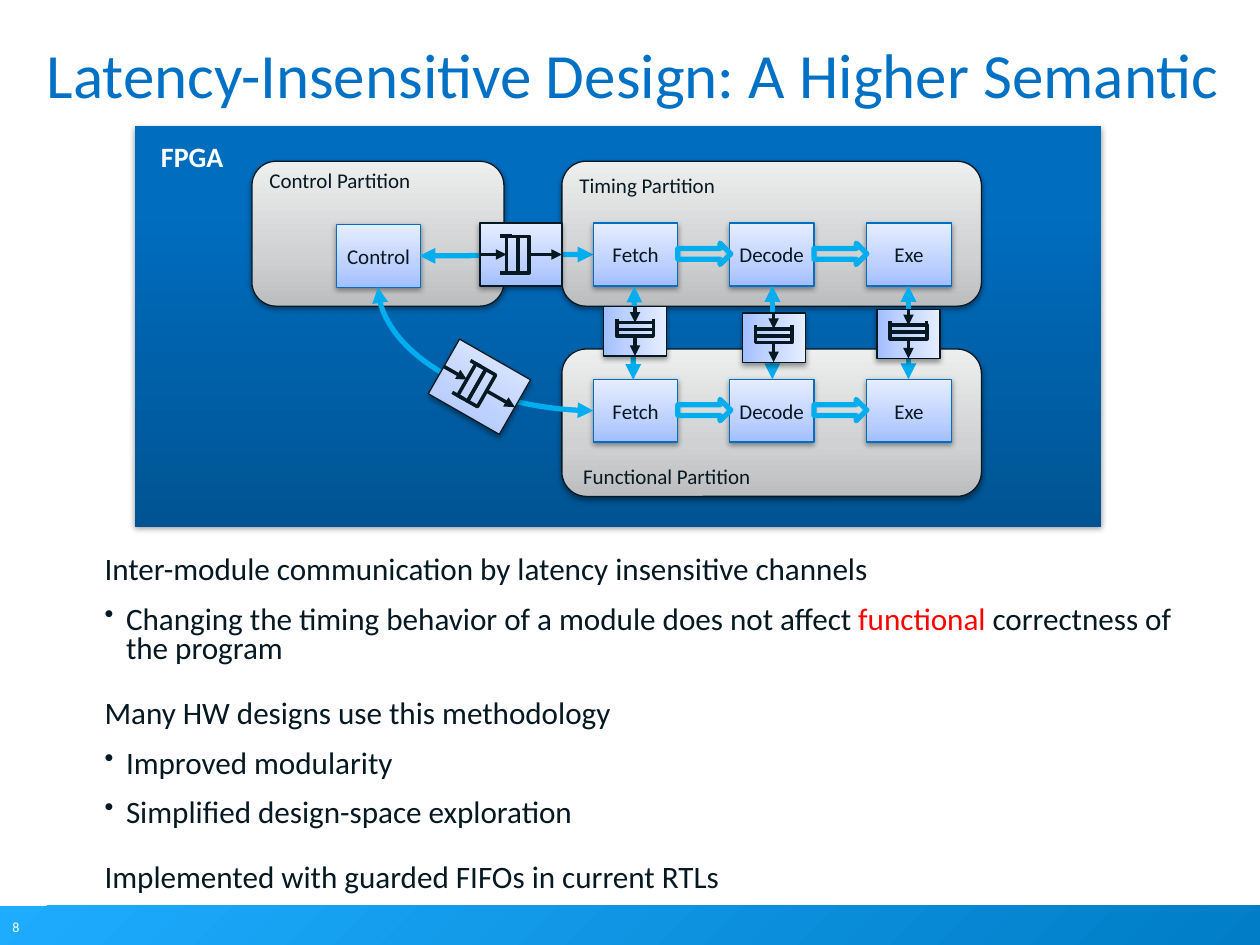
from copy import deepcopy
from math import cos, radians, sin

from lxml.etree import SubElement
from pptx import Presentation
from pptx.dml.color import RGBColor
from pptx.enum.shapes import MSO_CONNECTOR, MSO_SHAPE
from pptx.enum.text import MSO_ANCHOR, PP_ALIGN
from pptx.oxml.ns import qn
from pptx.util import Inches, Pt

RECT, ROUND, ARROW = MSO_SHAPE.RECTANGLE, MSO_SHAPE.ROUNDED_RECTANGLE, MSO_SHAPE.RIGHT_ARROW
STRAIGHT, CURVE = MSO_CONNECTOR.STRAIGHT, MSO_CONNECTOR.CURVE
LEFT, CENTER = PP_ALIGN.LEFT, PP_ALIGN.CENTER
TOP, MIDDLE = MSO_ANCHOR.TOP, MSO_ANCHOR.MIDDLE

INK = RGBColor(0x06, 0x19, 0x22)
EDGE = RGBColor(0x00, 0x6F, 0xC1)
CYAN = RGBColor(0x00, 0xAE, 0xEF)
TITLE = RGBColor(0x00, 0x71, 0xC5)
RED = RGBColor(0xFF, 0x00, 0x00)
WHITE = RGBColor(0xFF, 0xFF, 0xFF)

# Gradients: (percent, colour) stops
BAR = [(0, RGBColor(0x1E, 0xAC, 0xFF)), (100, RGBColor(0x00, 0x7D, 0xC6))]
CHIP = [(0, RGBColor(0x00, 0x54, 0x93)), (80, RGBColor(0x00, 0x6D, 0xBF)),
        (100, RGBColor(0x00, 0x6E, 0xC0))]
GRAY = [(0, RGBColor(0xBC, 0xBD, 0xBE)), (35, RGBColor(0xD0, 0xD1, 0xD2)),
        (100, RGBColor(0xED, 0xEE, 0xEE))]
BLUE = [(0, RGBColor(0xA2, 0xBE, 0xFF)), (35, RGBColor(0xBD, 0xD1, 0xFF)),
        (100, RGBColor(0xE6, 0xED, 0xFF))]

# Pipeline grid
STAGES = [("Fetch", 4.71), ("Decode", 5.79), ("Exe", 6.88)]
BOX_W, BOX_H = 0.67, 0.5


def style(font, size, color, bold=False):
    for key, value in {"name": "Calibri", "size": Pt(size), "bold": bold}.items():
        setattr(font, key, value)
    font.color.rgb = color


def blend(shape, stops, angle):
    shape.fill.gradient()
    shape.fill.gradient_angle = angle
    group = shape._element.spPr.find(qn("a:gradFill")).find(qn("a:gsLst"))
    while len(group) < len(stops):
        group.append(deepcopy(group[0]))
    for stop, (place, color) in zip(shape.fill.gradient_stops, stops):
        stop.position = place / 100
        stop.color.rgb = color


def shade(shape):
    glow = shape._element.spPr.find(qn("a:effectLst"))
    drop = SubElement(glow, qn("a:outerShdw"), blurRad=str(Pt(3.1)),
                      dist=str(Pt(1.6)), dir="5400000", rotWithShape="0")
    tint = SubElement(drop, qn("a:srgbClr"), val="000000")
    SubElement(tint, qn("a:alpha"), val="38000")


def block(slide, kind, place, stops=None, edge=None, width=0.75, angle=90, drop=True):
    shape = slide.shapes.add_shape(kind, *map(Inches, place))
    shape.shadow.inherit = False
    if stops:
        blend(shape, stops, angle)
    else:
        shape.fill.background()
    if edge is None:
        shape.line.fill.background()
    else:
        shape.line.color.rgb = edge
        shape.line.width = Pt(width)
    if drop:
        shade(shape)
    return shape


def link(slide, start, end, color=INK, width=2, ends=(), kind=STRAIGHT):
    line = slide.shapes.add_connector(kind, *map(Inches, (*start, *end)))
    line.line.color.rgb = color
    line.line.width = Pt(width)
    for tip in ends:
        SubElement(line.line._ln, qn("a:" + tip), type="triangle")
    SubElement(line._element.spPr, qn("a:effectLst"))
    return line


def channel(slide, start, end, kind=STRAIGHT):
    return link(slide, start, end, CYAN, 3, ("headEnd", "tailEnd"), kind)


def write(frame, text, size=12, color=INK, bold=False, align=LEFT, anchor=TOP):
    frame.word_wrap = False
    frame.vertical_anchor = anchor
    para = frame.paragraphs[0]
    para.text = text
    para.alignment = align
    style(para.font, size, color, bold)


def label(slide, place, text, **look):
    write(slide.shapes.add_textbox(*map(Inches, place)).text_frame, text, **look)


def module(slide, left, top, text):
    shape = block(slide, RECT, (left, top, BOX_W, BOX_H), BLUE, EDGE)
    write(shape.text_frame, text, align=CENTER, anchor=MIDDLE)


def stages(slide, top):
    for text, left in reversed(STAGES):
        module(slide, left, top, text)
    for _, left in STAGES[:-1]:
        block(slide, ARROW, (left + BOX_W, top + 0.16, 0.42, 0.17),
              edge=CYAN, width=3, drop=False)


def queue(slide, mid_x, mid_y, turn=0, scale=1):
    """Queue symbol; scale shrinks it along its flow, turn rotates it."""
    def spin(x, y):
        c, s = cos(radians(turn)), sin(radians(turn))
        x *= scale
        return mid_x + x * c - y * s, mid_y + x * s + y * c

    def part(x, wide, high, *look, **more):
        wide *= scale
        px, py = spin(x, 0)
        shape = block(slide, RECT, (px - wide / 2, py - high / 2, wide, high), *look, **more)
        shape.rotation = turn

    part(0, 0.65, 0.5, BLUE, INK)
    for x1, x2 in ((-0.325, -0.115), (0.065, 0.325)):
        link(slide, spin(x1, 0), spin(x2, 0), ends=("tailEnd",))
    for x in (-0.07, 0.02):
        part(x, 0.09, 0.29, edge=INK, width=2, drop=False)
    for y in (-0.145, 0.145):
        link(slide, spin(-0.165, y), spin(-0.07, y))


def frame_box(slide, place):
    frame = slide.shapes.add_textbox(*map(Inches, place)).text_frame
    frame.word_wrap = True
    for side in ("left", "top", "right", "bottom"):
        setattr(frame, "margin_" + side, 0)
    return frame


def bullet(para):
    props = para._p.get_or_add_pPr()
    props.set("marL", str(Inches(0.17)))
    props.set("indent", str(-Inches(0.17)))
    tint = SubElement(props, qn("a:buClr"))
    SubElement(tint, qn("a:srgbClr"), val=str(INK))
    SubElement(props, qn("a:buSzPct"), val="85000")
    SubElement(props, qn("a:buChar"), char="•")


def body(slide):
    frame = frame_box(slide, (0.83, 4.42, 8.52, 2.8))
    lines = [
        (0, ["Inter-module communication by latency insensitive channels"]),
        (1, ["Changing the timing behavior of a module does not affect ",
             "functional", " correctness of the program"]),
        (0, ["Many HW designs use this methodology"]),
        (1, ["Improved modularity"]),
        (1, ["Simplified design-space exploration"]),
        (0, ["Implemented with guarded FIFOs in current RTLs"]),
    ]
    for i, (level, texts) in enumerate(lines):
        para = frame.add_paragraph() if i else frame.paragraphs[0]
        para.level = level
        para.line_spacing = 0.8
        para.space_before = Pt((11 if level else 20) if i else 0)
        if level:
            bullet(para)
        for text in texts:
            run = para.add_run()
            run.text = text
            style(run.font, 17.8, RED if text == "functional" else INK)


def main():
    deck = Presentation()
    deck.slide_width, deck.slide_height = Inches(10), Inches(7.5)
    slide = deck.slides.add_slide(deck.slide_layouts[6])

    # Footer
    block(slide, RECT, (0, 7.19, 10.01, 0.32), BAR, angle=315, drop=False)
    label(slide, (0, 7.24, 0.31, 0.24), "8", size=8, color=WHITE)

    # Title and body
    frame = frame_box(slide, (0.37, 0.52, 9.83, 1.25))
    write(frame, "Latency-Insensitive Design: A Higher Semantic", 36, TITLE)
    frame.word_wrap = True
    frame.paragraphs[0].line_spacing = Pt(26)
    body(slide)

    # Chip and control partition
    block(slide, RECT, (1.07, 1, 7.67, 3.18), CHIP)
    label(slide, (1.17, 1.06, 0.71, 0.37), "FPGA", size=16, color=WHITE,
          bold=True, align=CENTER)
    block(slide, ROUND, (2, 1.28, 2, 1.15), GRAY, INK)
    label(slide, (2.04, 1.28, 1.67, 0.3), "Control Partition")
    module(slide, 2.67, 1.78, "Control")

    # Timing and functional partitions
    block(slide, ROUND, (4.46, 1.28, 3.33, 1.15), GRAY, INK)
    label(slide, (4.5, 1.32, 1.29, 0.3), "Timing Partition")
    channel(slide, (4.71, 2.02), (3.33, 2.03), CURVE)
    block(slide, ROUND, (4.46, 2.77, 3.33, 1.17), GRAY, INK)
    label(slide, (4.53, 3.63, 1.64, 0.3), "Functional Partition")
    for top in (1.77, 3.01):
        stages(slide, top)

    # Channels between the partitions
    fetch = channel(slide, (4.66, 2.64), (5.4, 2.65), CURVE)
    fetch._element.spPr.xfrm.set("rot", "5400000")
    for x in (6.13, 7.21):
        channel(slide, (x, 2.27), (x, 3.01))
    bend = channel(slide, (4.71, 3.26), (3, 2.28), CURVE)
    bend._element.spPr.find(qn("a:prstGeom")).set("prst", "curvedConnector2")

    # Queues on the channels
    queue(slide, 4.135, 2.02)
    queue(slide, 3.805, 3.07, turn=29.8)
    for x, y in ((5.04, 2.63), (6.14, 2.68), (7.21, 2.65)):
        queue(slide, x, y, turn=90, scale=0.6)

    deck.save("out.pptx")


if __name__ == "__main__":
    main()
